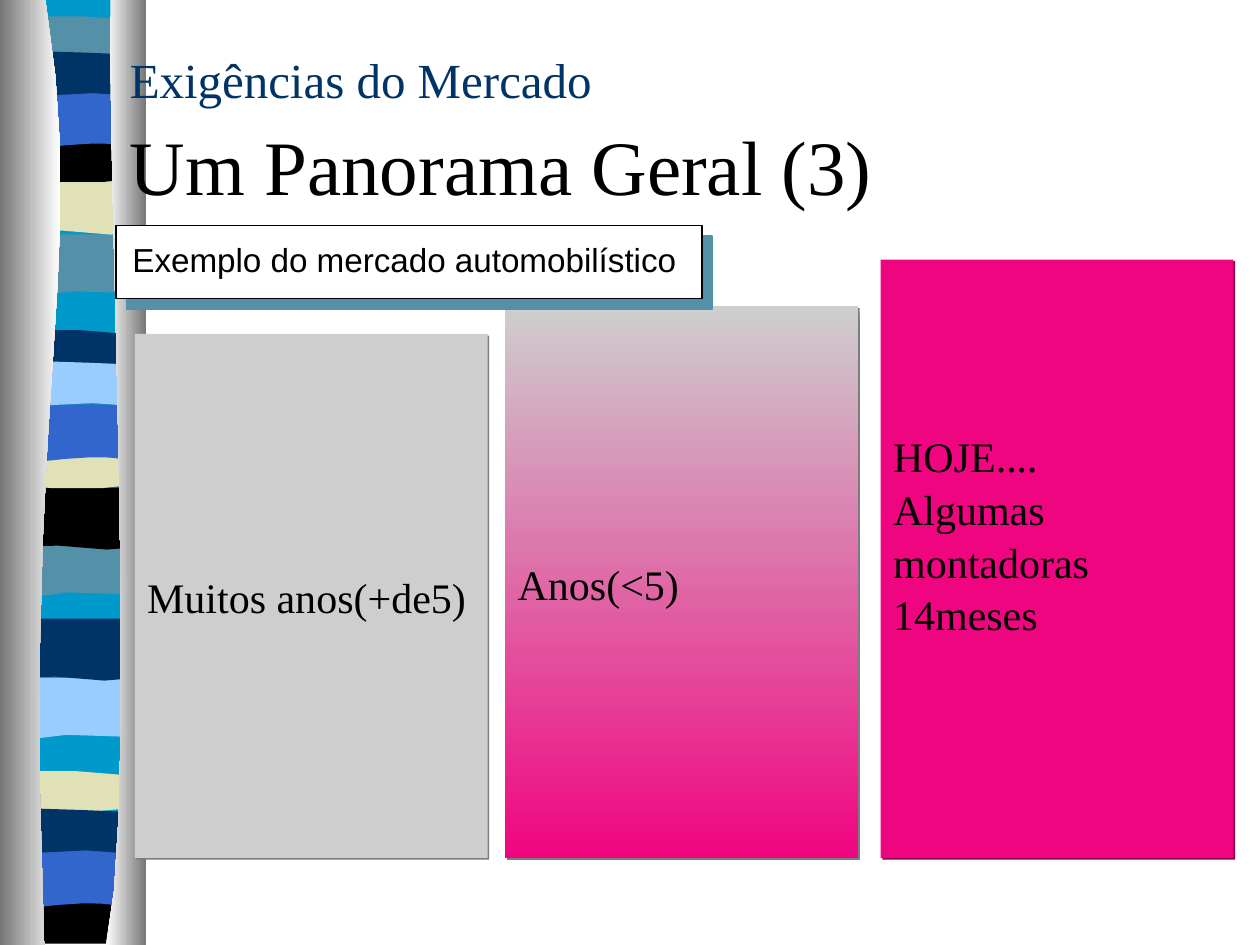
from lxml.etree import SubElement
from pptx import Presentation
from pptx.dml.color import RGBColor
from pptx.enum.shapes import MSO_SHAPE
from pptx.enum.text import MSO_ANCHOR, MSO_AUTO_SIZE, PP_ALIGN
from pptx.oxml.ns import qn
from pptx.util import Inches, Pt

BLACK = RGBColor(0x00, 0x00, 0x00)
WHITE = RGBColor(0xFF, 0xFF, 0xFF)
NAVY = RGBColor(0x00, 0x33, 0x66)
BLUE = RGBColor(0x33, 0x66, 0xCC)
SKY = RGBColor(0x99, 0xCC, 0xFF)
CYAN = RGBColor(0x00, 0x99, 0xCC)
TEAL = RGBColor(0x54, 0x90, 0xA8)
SAND = RGBColor(0xE1, 0xE1, 0xB7)
STEEL = RGBColor(0x76, 0x76, 0x76)
SILVER = RGBColor(0xCE, 0xCE, 0xCE)
PINK = RGBColor(0xF0, 0x05, 0x80)
GREY_SHADE = RGBColor(0x7C, 0x7C, 0x7C)
PINK_SHADE = RGBColor(0x90, 0x03, 0x4D)

# Outlines: two numbers are a corner, six are a Bezier curve.
DIP = [(1.02, 0), (1.02, 0.47), (0.31, 0.39, 0.17, 0.55, 0, 0.47), (0, 0)]
SWELL = [(1.02, 0), (1.02, 0.47), (0.85, 0.55, 0.31, 0.41, 0, 0.47), (0, 0)]
LENS = [(1.02, 0.04), (1.02, 0.29), (0.85, 0.33, 0.17, 0.33, 0, 0.29), (0, 0.04),
        (0.2, 0), (0.53, 0)]
SAG = [(1.02, 0), (1.02, 0.33), (0.85, 0.38, 0.17, 0.38, 0, 0.33), (0, 0),
       (0.62, 0.05, 0.8, 0, 1.02, 0)]
BASE = [(1.02, 0), (1.02, 0.37), (0, 0.37), (0, 0), (0.62, 0.05, 0.8, 0, 1.02, 0)]
ARCH = [(1.02, 0), (1.02, 0.47), (0.86, 0.42, 0.79, 0.42, 0.62, 0.42),
        (0.45, 0.42, 0.15, 0.47, 0, 0.47), (0, 0)]
WAVE = [(1.02, 0.05), (1.02, 0.36), (0.95, 0.41, 0.8, 0.36, 0.63, 0.36),
        (0.46, 0.36, 0.1, 0.41, 0, 0.36), (0, 0.05),
        (0.14, 0, 0.69, 0.05, 0.86, 0.05)]
LEFT_EDGE = [(0.36, 0), (0.71, 2.16, 0.17, 2.96, 0.35, 7.5), (0, 7.5), (0, 0)]
RIGHT_EDGE = [(0.88, 0), (0.84, 1.25, 1.11, 6.46, 0.84, 7.5), (1.16, 7.5), (1.16, 0)]

BANDS = [
    (DIP, 0.11, 1.86, TEAL), (SWELL, 0.13, 1.37, SAND), (LENS, 0.13, 0.13, TEAL),
    (SAG, 0.11, 1.08, BLACK), (ARCH, 0.11, 0.72, BLUE), (WAVE, 0.11, 0.38, NAVY),
    (DIP, 0.07, 4.25, TEAL), (SWELL, 0.1, 3.87, BLACK), (LENS, 0.1, 2.62, NAVY),
    (SAG, 0.1, 3.51, SAND), (ARCH, 0.1, 3.21, BLUE), (WAVE, 0.1, 2.84, SKY),
    (DIP, 0.05, 5.38, SKY), (SWELL, 0.08, 4.91, NAVY), (LENS, 0.07, 6.12, SAND),
    (BASE, 0.07, 7.12, BLACK), (ARCH, 0.04, 6.75, BLUE), (WAVE, 0.05, 6.39, NAVY),
]

BAR_WIDTH, BAR_BOTTOM = 2.8, 6.81
BARS = [
    (1.07, 2.65, [SILVER], GREY_SHADE, ["Muitos anos(+de5)"], 0.05),
    (4.01, 2.43, [SILVER, PINK], GREY_SHADE, ["Anos(<5)"], 0.05),
    (6.99, 2.06, [PINK], PINK_SHADE,
     ["HOJE....", "Algumas \nmontadoras", "14meses"], 0.45),
]


def flatten(outline, steps):
    """Turn corners and Bezier curves into a list of points."""
    points = []
    for part in outline:
        if len(part) == 2:
            points.append(part)
            continue
        x0, y0 = points[-1]
        x1, y1, x2, y2, x3, y3 = part
        for step in range(1, steps + 1):
            t = step / steps
            a, b, c, d = (1 - t) ** 3, 3 * t * (1 - t) ** 2, 3 * t * t * (1 - t), t ** 3
            points.append((a * x0 + b * x1 + c * x2 + d * x3,
                           a * y0 + b * y1 + c * y2 + d * y3))
    return points


class SlideWriter:
    serif, sans = "Times New Roman", "Arial"

    def __init__(self, page):
        self.page = page

    def paint(self, shape, colours, angle=0):
        """Fill with one colour, or with a gradient between two."""
        shape.shadow.inherit = False
        shape.line.fill.background()
        if len(colours) == 1:
            shape.fill.solid()
            shape.fill.fore_color.rgb = colours[0]
            return
        shape.fill.gradient()
        shape.fill.gradient_angle = angle
        for stop, colour in zip(shape.fill.gradient_stops, colours):
            stop.color.rgb = colour

    def outline(self, outline, left, top, colours, steps=3):
        points = [(Inches(left + x), Inches(top + y)) for x, y in flatten(outline, steps)]
        builder = self.page.shapes.build_freeform(*points[0], scale=1.0)
        builder.add_line_segments(points[1:], close=True)
        self.paint(builder.convert_to_shape(), colours)

    def rectangle(self, left, top, width, height, colours):
        box = self.page.shapes.add_shape(
            MSO_SHAPE.RECTANGLE, Inches(left), Inches(top), Inches(width), Inches(height))
        self.paint(box, colours, angle=270)
        return box

    def drop_shadow(self, shape, colour, distance):
        effects = shape._element.spPr.find(qn("a:effectLst"))
        shadow = SubElement(effects, qn("a:outerShdw"), dist=str(Pt(distance)),
                            dir="2700000", algn="ctr", rotWithShape="0")
        SubElement(shadow, qn("a:srgbClr"), val=str(colour))

    def frame(self, shape, anchor, side, edge, bottom=None):
        frame = shape.text_frame
        frame.auto_size = MSO_AUTO_SIZE.NONE
        frame.word_wrap = True
        frame.vertical_anchor = anchor
        frame.margin_left = frame.margin_right = Inches(side)
        frame.margin_top = Inches(edge)
        frame.margin_bottom = Inches(edge if bottom is None else bottom)
        return frame

    def span(self, para, text, size, colour=BLACK, font=serif):
        span = para.add_run()
        span.text = text
        span.font.name = font
        span.font.size = Pt(size)
        span.font.color.rgb = colour

    def bar(self, left, top, colours, shade, lines, bottom_margin):
        box = self.rectangle(left, top, BAR_WIDTH, BAR_BOTTOM - top, colours)
        self.drop_shadow(box, shade, 1.4)
        frame = self.frame(box, MSO_ANCHOR.MIDDLE, 0.1, 0.05, bottom_margin)
        for number, line in enumerate(lines):
            para = frame.add_paragraph() if number else frame.paragraphs[0]
            para.alignment = PP_ALIGN.LEFT
            para.line_spacing = 1.05
            for row, text in enumerate(line.split("\n")):
                if row:
                    para.add_line_break()
                self.span(para, text, 24)

    def label(self, text):
        box = self.rectangle(0.92, 1.79, 4.65, 0.58, [WHITE])
        box.line.color.rgb = BLACK
        box.line.width = Pt(1)
        self.drop_shadow(box, TEAL, 8.5)
        caption = self.page.shapes.add_textbox(
            Inches(0.95), Inches(1.86), Inches(4.52), Inches(0.4))
        frame = self.frame(caption, MSO_ANCHOR.TOP, 0.08, 0.04)
        frame.word_wrap = False
        para = frame.paragraphs[0]
        para.alignment = PP_ALIGN.CENTER
        self.span(para, text, 19, font=self.sans)

    def title(self, kicker, heading):
        title = self.page.shapes.title
        title.left, title.top = Inches(0.95), Inches(0.31)
        title.width, title.height = Inches(9.05), Inches(1.8)
        self.page.shapes._spTree.append(title._element)  # in front of the ribbon
        para = self.frame(title, MSO_ANCHOR.TOP, 0.08, 0.04).paragraphs[0]
        para.alignment = PP_ALIGN.LEFT
        para.line_spacing = 1.1
        self.span(para, kicker, 28, NAVY)
        para.add_line_break()
        self.span(para, heading, 44)


def main():
    deck = Presentation()
    deck.slide_width, deck.slide_height = Inches(10), Inches(7.5)
    writer = SlideWriter(deck.slides.add_slide(deck.slide_layouts[5]))

    writer.rectangle(0.11, 0, 1.02, 7.46, [CYAN])
    for shape, left, top, colour in BANDS:
        writer.outline(shape, left, top, [colour])
    writer.outline(LEFT_EDGE, 0, 0, [STEEL, WHITE], steps=10)
    writer.outline(RIGHT_EDGE, 0, 0, [WHITE, STEEL], steps=10)

    writer.title("Exigências do Mercado", "Um Panorama Geral (3)")
    for bar in BARS:
        writer.bar(*bar)
    writer.label("Exemplo do mercado automobilístico")
    deck.save("out.pptx")


if __name__ == "__main__":
    main()
